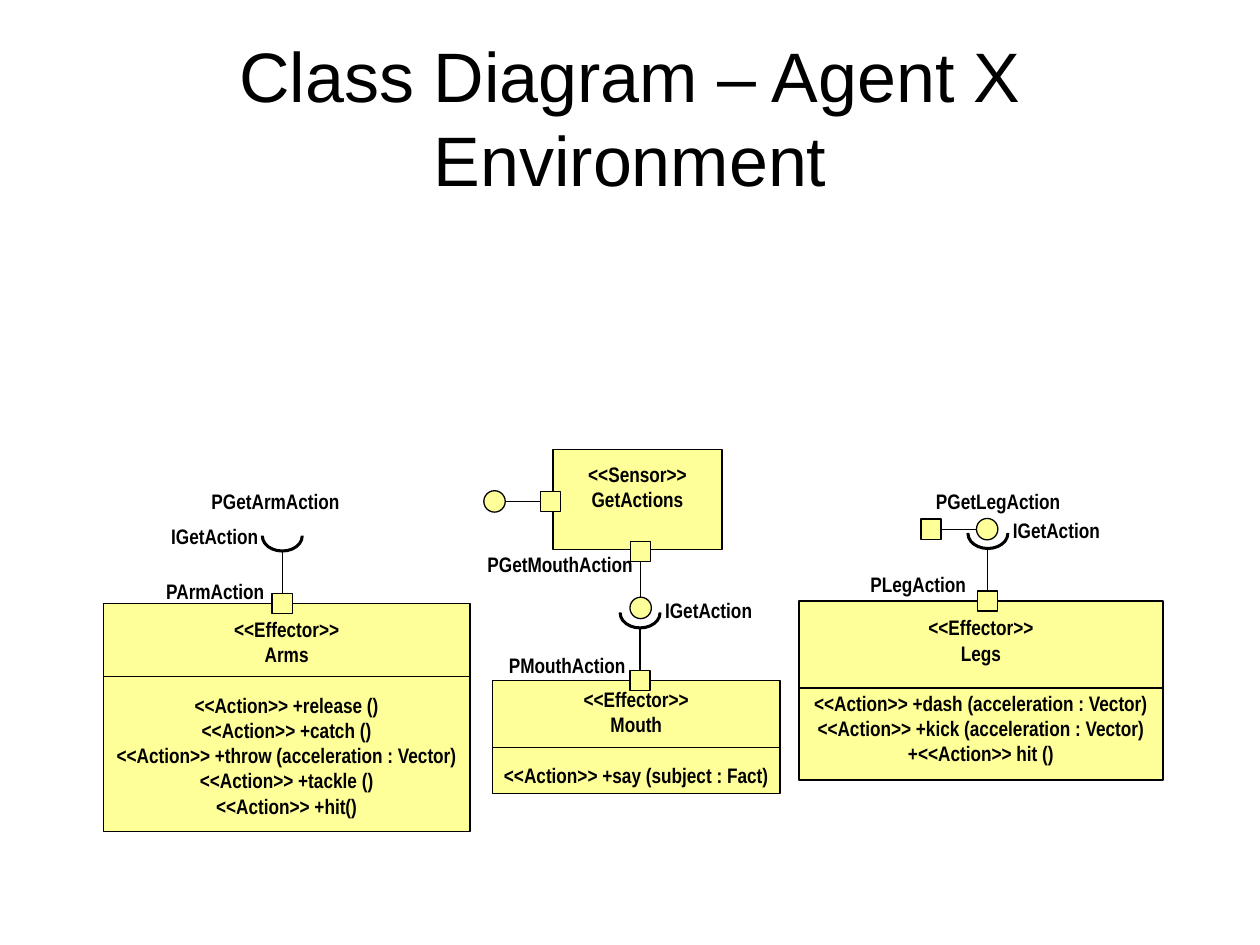
from pptx import Presentation
from pptx.dml.color import RGBColor
from pptx.enum.shapes import MSO_CONNECTOR, MSO_SHAPE
from pptx.enum.text import MSO_ANCHOR, PP_ALIGN
from pptx.oxml.ns import qn
from pptx.util import Inches, Pt
from lxml.etree import SubElement

BLACK = RGBColor(0x00, 0x00, 0x00)
YELLOW = RGBColor(0xFF, 0xFF, 0x99)
LINE_WIDTH = Pt(0.74)
LINE_HEIGHT = 0.2
PORT = 0.16
BALL = 0.17

deck = Presentation()
deck.slide_width, deck.slide_height = Inches(10), Inches(7.5)
page = deck.slides.add_slide(deck.slide_layouts[5])


def add_figure(kind, left, top, width, height, fill=YELLOW):
    figure = page.shapes.add_shape(kind, Inches(left), Inches(top), Inches(width), Inches(height))
    figure.shadow.inherit = False
    figure.fill.solid()
    figure.fill.fore_color.rgb = fill
    figure.line.color.rgb = BLACK
    figure.line.width = LINE_WIDTH
    return figure


def add_line(x1, y1, x2, y2):
    line = page.shapes.add_connector(
        MSO_CONNECTOR.STRAIGHT, Inches(x1), Inches(y1), Inches(x2), Inches(y2))
    line.line.color.rgb = BLACK
    line.line.width = LINE_WIDTH
    SubElement(line._element.spPr, qn("a:effectLst"))


title = page.shapes.title
title.left, title.top, title.width, title.height = Inches(0.5), Inches(0.3), Inches(9), Inches(1.25)
title.text_frame.text = "Class Diagram – Agent X Environment"
title.text_frame.vertical_anchor = MSO_ANCHOR.MIDDLE
title.text_frame.word_wrap = True
title_para = title.text_frame.paragraphs[0]
title_para.alignment = PP_ALIGN.CENTER
title_para.font.name = "Arial"
title_para.font.size = Pt(40)
title_para.font.color.rgb = BLACK

classes = [
    (0.82, 4.79, 2.91, 1.81, 5.37, 2.24, "Effector", "Arms",
     ["<<Action>> +release ()", "<<Action>> +catch ()",
      "<<Action>> +throw (acceleration : Vector)",
      "<<Action>> +tackle ()", "<<Action>> +hit()"]),
    (3.91, 5.4, 2.28, 0.9, 5.93, 5.08, "Effector", "Mouth",
     ["<<Action>> +say (subject : Fact)"]),
    (6.34, 4.77, 2.89, 1.42, 5.46, 7.84, "Effector", "Legs",
     ["<<Action>> +dash (acceleration : Vector)",
      "<<Action>> +kick (acceleration : Vector)", "+<<Action>> hit ()"]),
    (4.39, 3.57, 1.34, 0.79, None, None, "Sensor", "GetActions", []),
]
for left, top, width, height, divider, port_x, stereotype, name, actions in classes:
    box = add_figure(MSO_SHAPE.RECTANGLE, left, top, width, height)
    frame = box.text_frame
    frame.word_wrap = False
    frame.vertical_anchor = MSO_ANCHOR.MIDDLE
    frame.text = "\n".join([f"<<{stereotype}>>", name, *actions])
    for index, para in enumerate(frame.paragraphs):
        para.alignment = PP_ALIGN.CENTER
        para.font.name = "Arial Narrow"
        para.font.size = Pt(12)
        para.font.bold = True
        para.font.color.rgb = BLACK
        if index == 2:
            para.space_before = Inches(LINE_HEIGHT)
    if not actions:
        frame.margin_bottom = Inches(0.05 + LINE_HEIGHT)
        continue
    add_line(left, divider, left + width, divider)
    port_top = top - 0.08
    add_figure(MSO_SHAPE.RECTANGLE, port_x - PORT / 2, port_top, PORT, PORT)
    add_line(port_x, port_top, port_x, port_top - 0.34)
    socket = add_figure(MSO_SHAPE.BLOCK_ARC, port_x - 0.165, port_top - 0.58, 0.33, 0.25, BLACK)
    socket.rotation = 180
    for index, value in enumerate((108, 0, 0.056)):
        socket.adjustments[index] = value

provided_interfaces = [
    (5.085, 4.38, 5.085, 4.825),
    (7.39, 4.2, 7.835, 4.2),
    (4.37, 3.98, 3.925, 3.98),
]
for port_x, port_y, ball_x, ball_y in provided_interfaces:
    add_line(port_x, port_y, ball_x, ball_y)
    add_figure(MSO_SHAPE.OVAL, ball_x - BALL / 2, ball_y - BALL / 2, BALL, BALL)
    add_figure(MSO_SHAPE.RECTANGLE, port_x - PORT / 2, port_y - PORT / 2, PORT, PORT)

labels = [
    ("IGetAction", 7.94, 4.06, 0.89),
    ("IGetAction", 1.26, 4.11, 0.89),
    ("IGetAction", 5.18, 4.69, 0.89),
    ("PArmAction", 1.22, 4.54, 0.99),
    ("PMouthAction", 3.94, 5.13, 1.12),
    ("PLegAction", 6.81, 4.49, 0.96),
    ("PGetArmAction", 1.58, 3.83, 1.21),
    ("PGetMouthAction", 3.77, 4.33, 1.35),
    ("PGetLegAction", 7.33, 3.83, 1.18),
]
for text, left, top, width in labels:
    label = page.shapes.add_textbox(Inches(left), Inches(top), Inches(width), Inches(0.3))
    label.text_frame.word_wrap = True
    label.text_frame.margin_right = 0
    label.text_frame.text = text
    para = label.text_frame.paragraphs[0]
    para.alignment = PP_ALIGN.LEFT
    para.font.name = "Arial Narrow"
    para.font.size = Pt(12)
    para.font.bold = True
    para.font.color.rgb = BLACK

deck.save("out.pptx")
